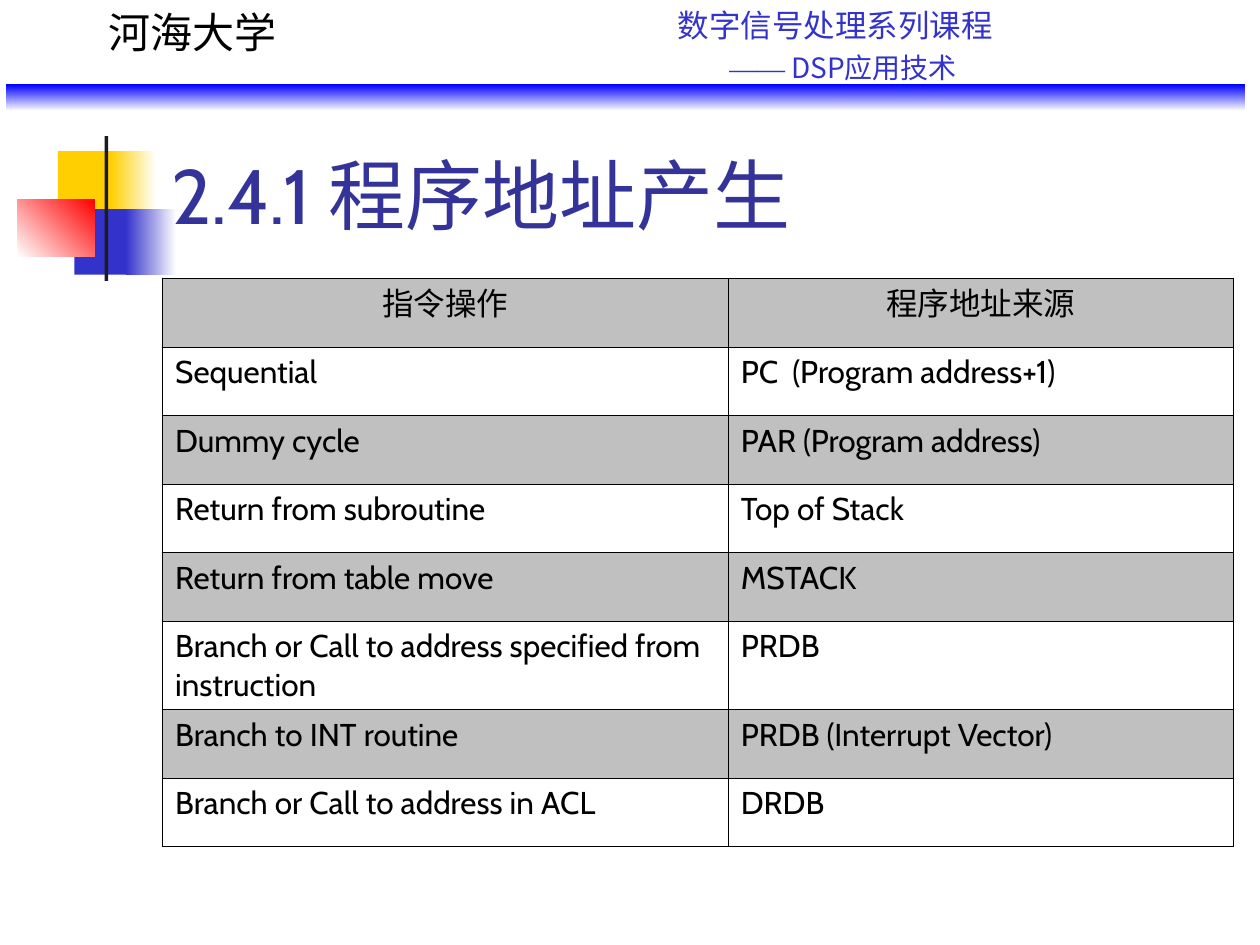
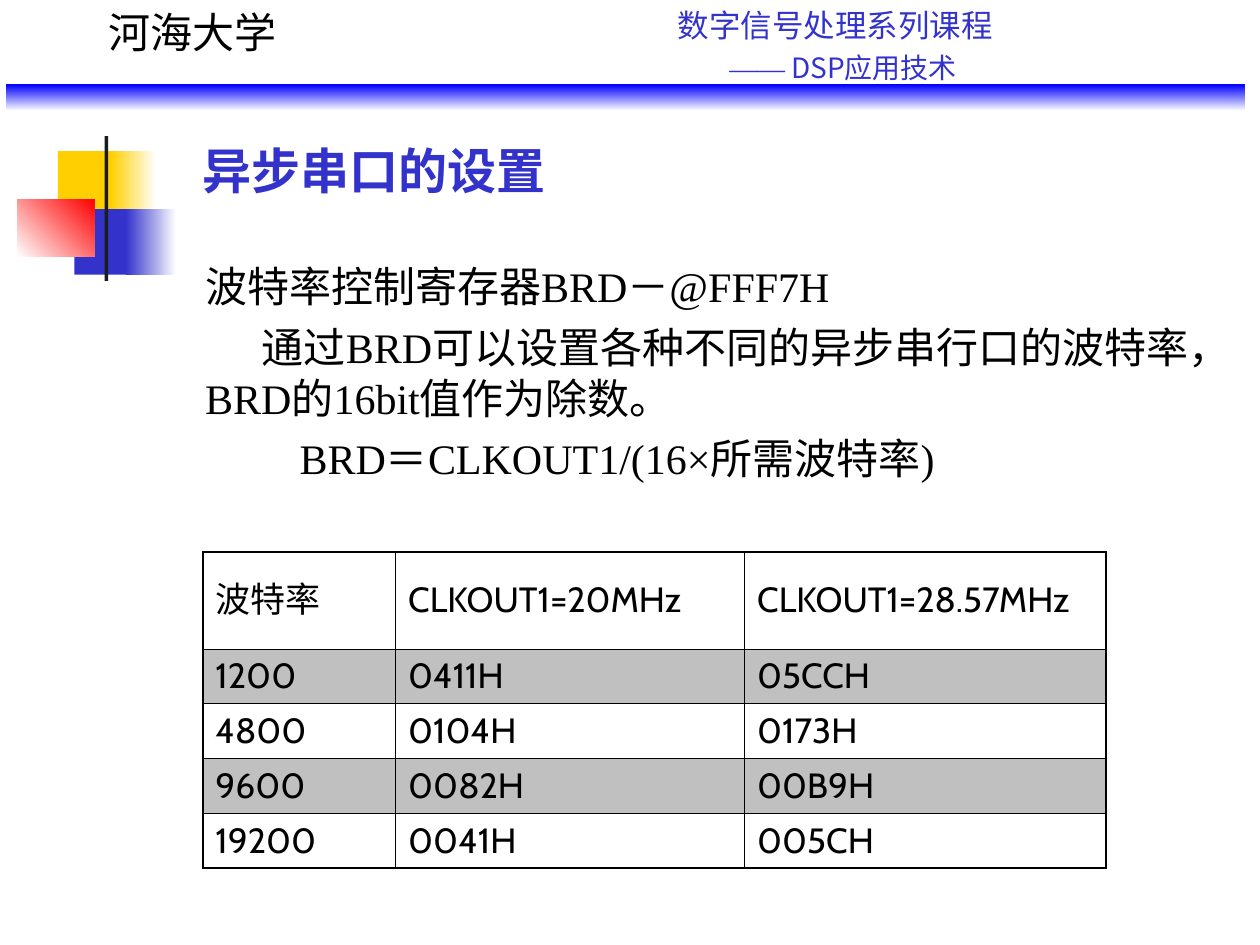
from lxml import etree
from pptx import Presentation
from pptx.dml.color import RGBColor
from pptx.enum.shapes import MSO_SHAPE
from pptx.enum.text import MSO_ANCHOR, PP_ALIGN
from pptx.oxml.ns import qn
from pptx.util import Inches, Pt

RECT = MSO_SHAPE.RECTANGLE
TOP, MIDDLE, BOTTOM = MSO_ANCHOR.TOP, MSO_ANCHOR.MIDDLE, MSO_ANCHOR.BOTTOM
LEFT, CENTER = PP_ALIGN.LEFT, PP_ALIGN.CENTER

BLACK, WHITE, GRAY = "000000", "FFFFFF", "C0C0C0"
BLUE, GOLD, NAVY = "3333CC", "FFCF01", "333399"
CABIN, SANS, TIMES = "Cabin", "Noto Sans CJK SC", "Times New Roman"
THICK, THIN = 1.08, 0.45


def color(target, code):
    """Set a solid fill, or the color of a font or gradient stop."""
    if hasattr(target, "solid"):
        target.solid()
        target = target.fore_color
    target.rgb = RGBColor.from_string(code)


def write(frame, *lines, size=18, font=CABIN, ink=BLACK, bold=False,
          align=LEFT, anchor=TOP, before=0, indents=(0,)):
    """Fill a frame; a line is a string or a list of (text, font, size) runs."""
    frame.word_wrap = True
    frame.vertical_anchor = anchor
    for i, line in enumerate(lines):
        par = frame.add_paragraph() if i else frame.paragraphs[0]
        par.alignment = align
        par.space_before = Pt(before if i else 0)
        if indents[i:] and indents[i]:
            par._p.get_or_add_pPr().set("indent", str(Inches(indents[i])))
        runs = [(line, font, size)] if isinstance(line, str) else line
        for text, face, points in runs:
            run = par.add_run()
            run.text = text
            run.font.size, run.font.name, run.font.bold = Pt(points), face, bold
            color(run.font.color, ink)
            east = etree.SubElement(run._r.get_or_add_rPr(), qn("a:ea"))
            east.set("typeface", CABIN)


deck = Presentation()
deck.slide_width, deck.slide_height = Inches(10), Inches(7.5)
blank = deck.slide_layouts[6]

# left, top, width, height, colors (two make a gradient), angle
blocks = [
    (0.46, 1.2, 0.48, 0.52, [GOLD], 0),
    (0.88, 1.2, 0.36, 0.52, [GOLD, WHITE], 0),
    (0.59, 1.66, 0.46, 0.52, [BLUE], 0),
    (1, 1.66, 0.4, 0.52, [BLUE, WHITE], 0),
    (0.14, 1.58, 0.61, 0.46, [WHITE, "FF0000"], 45),
    (0.83, 1.08, 0.03, 1.15, ["1C1C1C"], 0),
    (0.05, 0.67, 9.83, 0.21, ["0000FF", WHITE], 270),
]

course = [
    [("数字信号处理系列课程", SANS, 18)],
    [("——", TIMES, 16), (" DSP应用技术", SANS, 16)],
]
school = dict(size=24, font=TIMES)
heads = [
    # left, top, width, height, lines, format
    (5.28, 0, 4.52, 0.75, course, dict(ink=BLUE, before=4, indents=(0, 0.41))),
    (0.76, 0, 1.7, 0.5, ["河海大学"], school),
]

pages = [
    dict(
        texts=[(1.26, 0.67, 8.52, 1.28, ["2.4.1 程序地址产生"],
                dict(size=44, ink=NAVY, anchor=BOTTOM))],
        spot=(1.29, 2.21),
        cols=[4.49, 4.01],
        tall=[3.81 / 7] * 5 + [0.7] + [3.81 / 7] * 2,
        rows=[
            ("指令操作", "程序地址来源"),
            ("Sequential", "PC  (Program address+1)"),
            ("Dummy cycle", "PAR (Program address)"),
            ("Return from subroutine", "Top of Stack"),
            ("Return from table move", "MSTACK"),
            ("Branch or Call to address specified from instruction", "PRDB"),
            ("Branch to INT routine", "PRDB (Interrupt Vector)"),
            ("Branch or Call to address in ACL", "DRDB"),
        ],
        shade=0, size=18, anchor=TOP, head=CENTER,
    ),
    dict(
        texts=[
            (1.53, 2.02, 8.03, 1.87, [
                "波特率控制寄存器BRD－@FFF7H",
                "通过BRD可以设置各种不同的异步串行口的波特率，BRD的16bit值作为除数。",
                "BRD＝CLKOUT1/(16×所需波特率)",
            ], dict(size=24, font=TIMES, before=6, indents=(0, 0.45, 0.75))),
            (1.51, 1.07, 3.25, 0.57, ["异步串口的设置"],
             dict(size=28, font=TIMES, ink=BLUE, bold=True)),
        ],
        spot=(1.61, 4.38),
        cols=[1.53, 2.77, 2.87],
        tall=[0.77] + [1.74 / 4] * 4,
        rows=[
            ("波特率", "CLKOUT1=20MHz", "CLKOUT1=28.57MHz"),
            ("1200", "0411H", "05CCH"),
            ("4800", "0104H", "0173H"),
            ("9600", "0082H", "00B9H"),
            ("19200", "0041H", "005CH"),
        ],
        shade=1, size=20, anchor=MIDDLE, head=LEFT,
    ),
]

for page in pages:
    slide = deck.slides.add_slide(blank)

    for *place, hues, angle in blocks:
        block = slide.shapes.add_shape(RECT, *map(Inches, place))
        block.shadow.inherit = False
        block.line.fill.background()
        if len(hues) == 1:
            color(block.fill, hues[0])
            continue
        block.fill.gradient()
        block.fill.gradient_angle = angle
        for stop, hue in zip(block.fill.gradient_stops, hues):
            color(stop.color, hue)

    for *place, lines, form in heads + page["texts"]:
        box = slide.shapes.add_textbox(*map(Inches, place))
        write(box.text_frame, *lines, **form)

    cols, tall, rows = page["cols"], page["tall"], page["rows"]
    area = (*page["spot"], sum(cols), sum(tall))
    table = slide.shapes.add_table(len(rows), len(cols), *map(Inches, area)).table
    table.first_row = table.horz_banding = False
    for col, width in zip(table.columns, cols):
        col.width = Inches(width)
    for r, (row, height) in enumerate(zip(rows, tall)):
        table.rows[r].height = Inches(height)
        for c, text in enumerate(row):
            cell = table.cell(r, c)
            write(cell.text_frame, text, size=page["size"],
                  align=LEFT if r else page["head"])
            cell.vertical_anchor = page["anchor"]
            outer = dict(lnL=c == 0, lnR=c == len(cols) - 1,
                         lnT=r == 0, lnB=r == len(rows) - 1)
            props = cell._tc.get_or_add_tcPr()
            for side, edge in outer.items():
                line = etree.SubElement(props, qn("a:" + side))
                line.set("w", str(Pt(THICK if edge else THIN)))
                fill = etree.SubElement(line, qn("a:solidFill"))
                etree.SubElement(fill, qn("a:srgbClr")).set("val", BLACK)
            if r % 2 == page["shade"]:
                color(cell.fill, GRAY)
            else:
                cell.fill.background()

deck.save("out.pptx")
